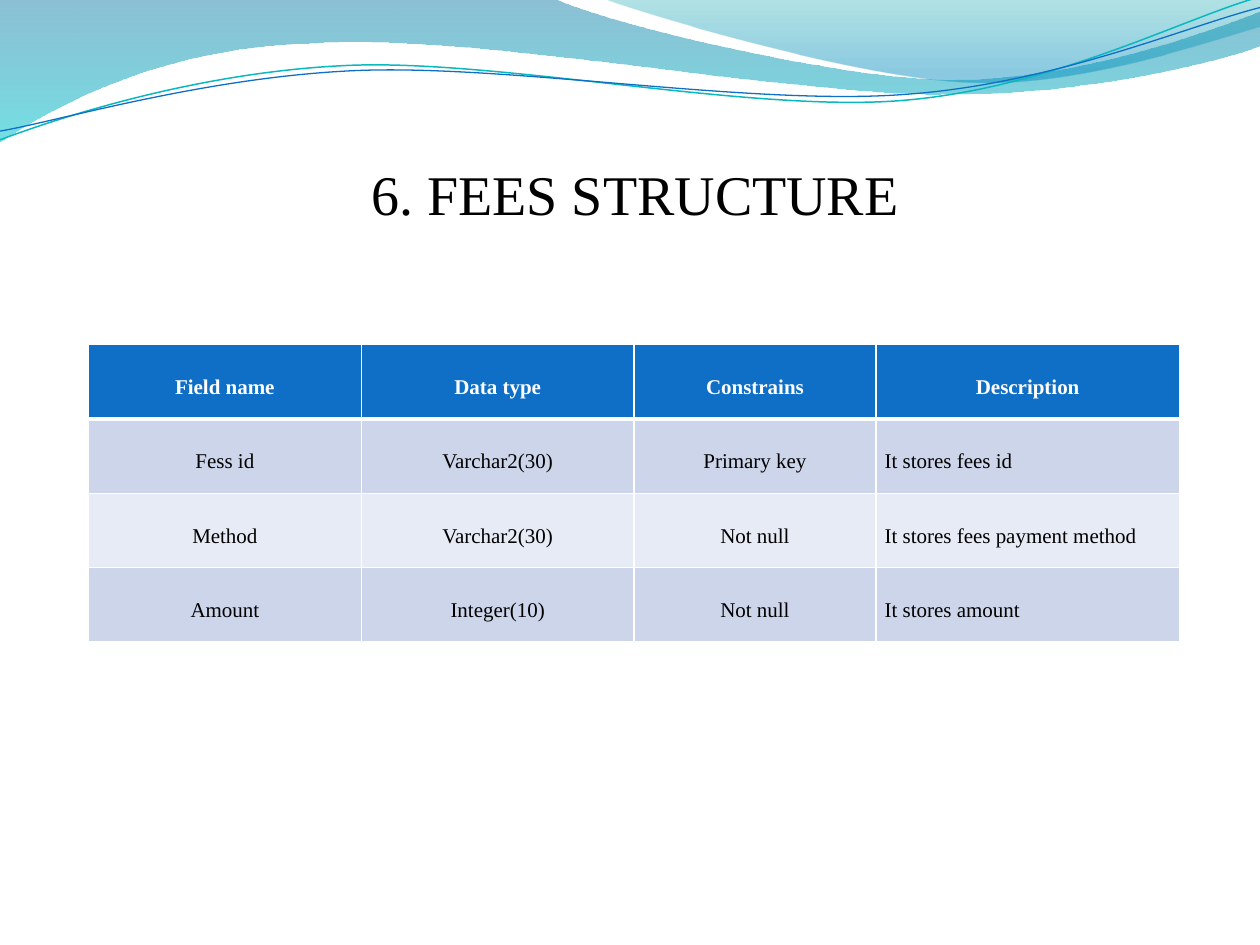
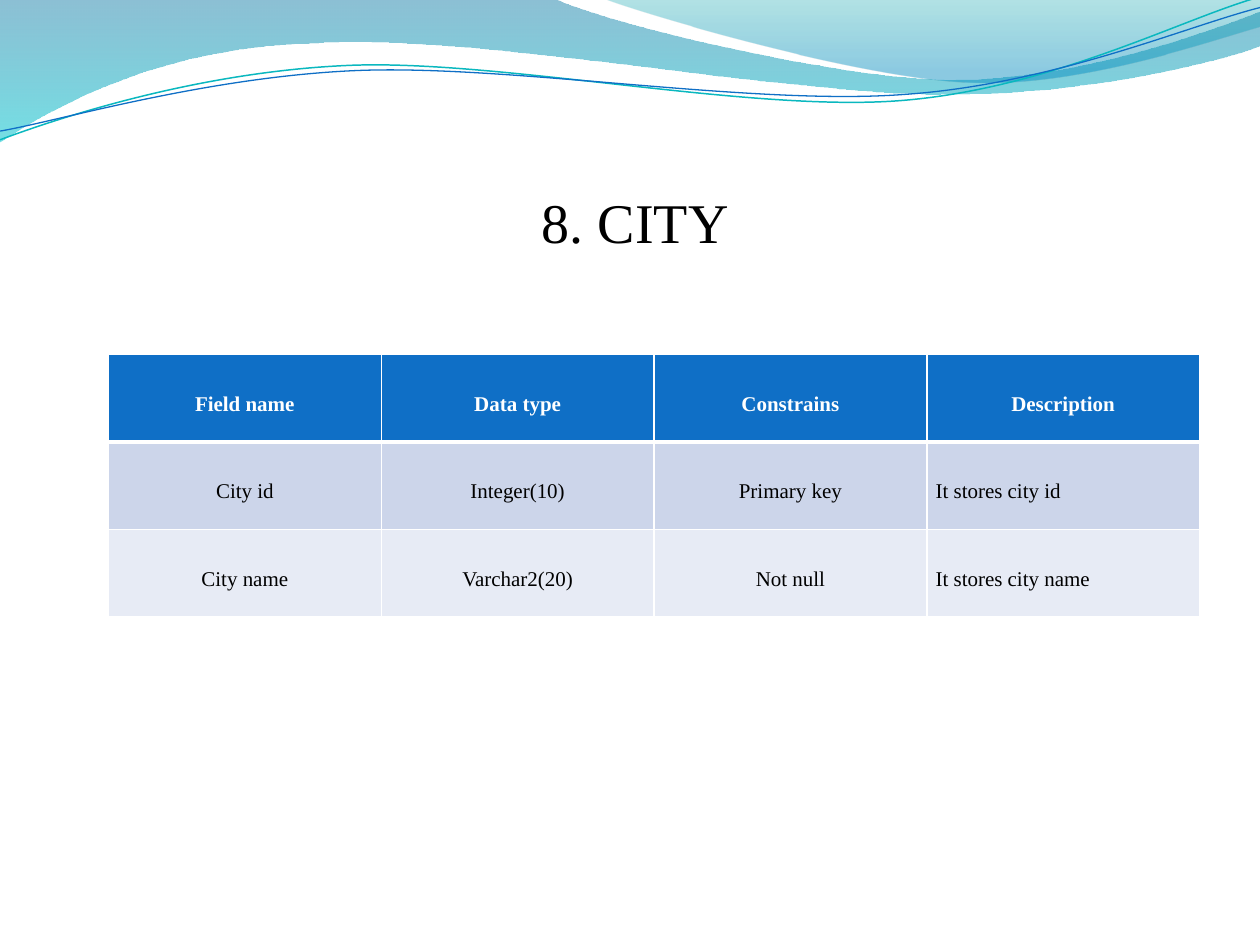
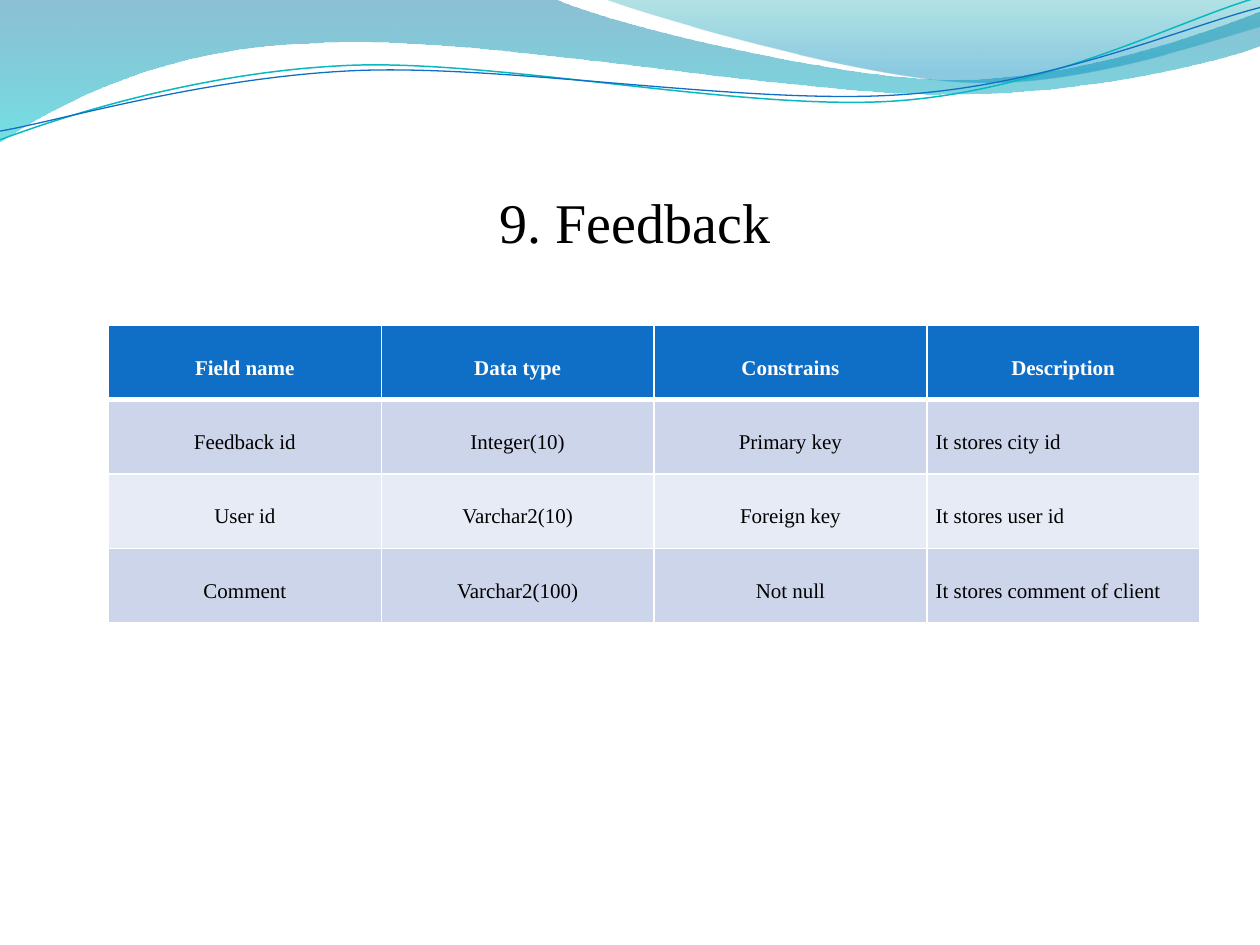
from lxml import etree
from pptx import Presentation
from pptx import util as u
from pptx.dml.color import RGBColor
from pptx.enum import text
from pptx.oxml import ns

FONT = "Times New Roman"
COLORS = {
    "black": "000000", "white": "FFFFFF", "header": "0F6FC6",
    "band_dark": "CCD5EA", "band_light": "E7EBF5", "teal_line": "0AB8BF",
    "wave_top": "0074A1", "wave_bottom": "00C6CF",
    "crest_top": "00A1A9", "crest_bottom": "008BBF",
}

WAVES = [
    {"outline": [[(0, 0)], [(316.8, -0.7)],
                 [(342.7, 12.2), (478.1, 45.4), (545.8, 45.4)],
                 [(614.2, 45.4), (689.8, 18.7), (720, 6.5)], [(720.7, 25.9)],
                 [(707.8, 31.7), (626.4, 54.7), (537.1, 54)],
                 [(447.8, 54), (275, 20.2), (185, 24.5)],
                 [(92.9, 25.9), (33.1, 59.8), (-0.7, 81.4)]],
     "stops": [(0, "wave_top", 45), (1, "wave_bottom", 55)]},
    {"outline": [[(344.9, -0.7)],
                 [(366.5, 7.9), (491, 44.6), (553.7, 46.8)],
                 [(616.3, 49.7), (691.9, 23), (720, 15.1)], [(720, 0)]],
     "stops": [(0, "crest_top", 30), (0.8, "crest_bottom", 45)]},
    {"outline": [[(0, 79.9)],
                 [(34.6, 67), (113.8, 41), (199.4, 37.4)],
                 [(284.4, 33.8), (427, 64.1), (513.4, 57.6)],
                 [(599.8, 51.1), (675.4, 10.8), (718.6, -1.4)]],
     "line": ("teal_line", 0.85)},
    {"outline": [[(0, 74.9)],
                 [(33.8, 69.1), (118.1, 43.9), (203.8, 40.3)],
                 [(290.2, 36.7), (429.8, 60.5), (516.2, 54)],
                 [(601.9, 48.2), (677.5, 15.1), (720, 4.3)]],
     "line": ("header", 0.75)},
]

HEADINGS = ("Field name", "Data type", "Constrains", "Description")
EQUAL_WIDTHS = (155.9,) * len(HEADINGS)
SLIDES = [
    {"title": "6. FEES STRUCTURE", "title_height": 74,
     "left": 50.6, "top": 196.9, "widths": (155.9, 155.9, 138.2, 173.5),
     "row_height": 42.5,
     "rows": [("Fess id", "Varchar2(30)", "Primary key", "It stores fees id"),
              ("Method", "Varchar2(30)", "Not null",
               "It stores fees payment method"),
              ("Amount", "Integer(10)", "Not null", "It stores amount")]},
    {"title": "8. CITY", "title_height": 90,
     "left": 62, "top": 202.6, "widths": EQUAL_WIDTHS, "row_height": 50,
     "rows": [("City id", "Integer(10)", "Primary key", "It stores city id"),
              ("City name", "Varchar2(20)", "Not null",
               "It stores city name")]},
    {"title": "9. Feedback", "title_height": 90,
     "left": 62, "top": 185.8, "widths": EQUAL_WIDTHS, "row_height": 42.5,
     "rows": [("Feedback id", "Integer(10)", "Primary key",
               "It stores city id"),
              ("User id", "Varchar2(10)", "Foreign key", "It stores user id"),
              ("Comment", "Varchar2(100)", "Not null",
               "It stores comment of client")]},
]


def rgb(name):
    """Return a named colour."""
    return RGBColor.from_string(COLORS[name])


def set_attrs(obj, values):
    """Set each attribute named in a dict."""
    for name, value in values.items():
        setattr(obj, name, value)


def bend(sp, outline):
    """Join each run of three straight segments into one cubic curve."""
    lines = iter(sp._element.xpath(".//a:path/a:lnTo"))
    for segment in outline[1:]:
        parts = [next(lines) for _ in segment]
        if len(parts) == 3:
            curve = etree.Element(ns.qn("a:cubicBezTo"))
            parts[0].addprevious(curve)
            for part in parts:
                curve.append(part[0])
                part.getparent().remove(part)


def add_wave(slide, outline, stops=None, line=None):
    """Draw a gradient wave or a thin wavy line."""
    points = [(u.Pt(x), u.Pt(y)) for segment in outline for x, y in segment]
    builder = slide.shapes.build_freeform(*points[0])
    builder.add_line_segments(points[1:], close=stops is not None)
    sp = builder.convert_to_shape()
    bend(sp, outline)
    sp.shadow.inherit = False
    if line:
        sp.fill.background()
        sp.line.color.rgb = rgb(line[0])
        sp.line.width = u.Pt(line[1])
        return
    sp.line.fill.background()
    sp.fill.gradient()
    sp.fill.gradient_angle = 270
    for stop, (position, color, _) in zip(sp.fill.gradient_stops, stops):
        stop.position = position
        stop.color.rgb = rgb(color)
    tints = sp._element.xpath(".//a:gs/a:srgbClr")
    for tint, (_, _, opacity) in zip(tints, stops):
        etree.SubElement(tint, ns.qn("a:alpha"), val=str(opacity * 1000))


def write(tf, content, size, color, align, bold=False, spacing=None):
    """Write one formatted paragraph."""
    p = tf.paragraphs[0]
    set_attrs(p, {"alignment": align, "line_spacing": spacing})
    r = p.add_run()
    r.text = content
    set_attrs(r.font, {"name": FONT, "size": u.Pt(size), "bold": bold})
    r.font.color.rgb = rgb(color)


def add_title(slide, title, height):
    """Add the centred, bottom-anchored title."""
    sp = slide.shapes.add_textbox(u.Pt(36), u.Pt(55.5), u.Pt(654), u.Pt(height))
    tf = sp.text_frame
    set_attrs(tf, {"word_wrap": True, "vertical_anchor": text.MSO_ANCHOR.BOTTOM,
                   "margin_left": 0, "margin_top": u.Pt(3.6),
                   "margin_right": 0, "margin_bottom": 0})
    write(tf, title, 32, "black", text.PP_ALIGN.CENTER)


def set_borders(cell, top, bottom):
    """Give a cell white borders."""
    tc_pr = cell._tc.get_or_add_tcPr()
    for side, width in (("L", 1), ("R", 1), ("T", top), ("B", bottom)):
        ln = etree.SubElement(tc_pr, ns.qn(f"a:ln{side}"), w=str(u.Pt(width)))
        fill = etree.SubElement(ln, ns.qn("a:solidFill"))
        etree.SubElement(fill, ns.qn("a:srgbClr"), val=COLORS["white"])


def format_cell(cell, content, row, col):
    """Fill in a cell according to its row and column."""
    header = row == 0
    set_borders(cell, 3 if row == 1 else 1, 3 if header else 1)
    cell.fill.solid()
    band = "band_dark" if row % 2 else "band_light"
    cell.fill.fore_color.rgb = rgb("header" if header else band)
    set_attrs(cell, {"vertical_anchor": text.MSO_ANCHOR.MIDDLE,
                     "margin_left": u.Pt(5), "margin_right": u.Pt(5),
                     "margin_top": 0, "margin_bottom": 0})
    left = col == len(HEADINGS) - 1 and not header
    write(cell.text_frame, content, 12, "white" if header else "black",
          text.PP_ALIGN.LEFT if left else text.PP_ALIGN.CENTER, header, 1.5)


def add_field_table(slide, left, top, widths, row_height, rows):
    """Add the table of database fields."""
    rows = [HEADINGS, *rows]
    table = slide.shapes.add_table(
        len(rows), len(widths), u.Pt(left), u.Pt(top),
        u.Pt(sum(widths)), u.Pt(row_height * len(rows))).table
    for column, width in zip(table.columns, widths):
        column.width = u.Pt(width)
    for i, row in enumerate(rows):
        table.rows[i].height = u.Pt(row_height)
        for j, content in enumerate(row):
            format_cell(table.cell(i, j), content, i, j)


def main():
    """Build the deck."""
    prs = Presentation()
    set_attrs(prs, {"slide_width": u.Pt(720), "slide_height": u.Pt(540)})
    for content in SLIDES:
        slide = prs.slides.add_slide(prs.slide_layouts[6])
        for wave in WAVES:
            add_wave(slide, **wave)
        add_title(slide, content["title"], content["title_height"])
        add_field_table(slide, content["left"], content["top"],
                        content["widths"], content["row_height"],
                        content["rows"])
    prs.save("out.pptx")


if __name__ == "__main__":
    main()
